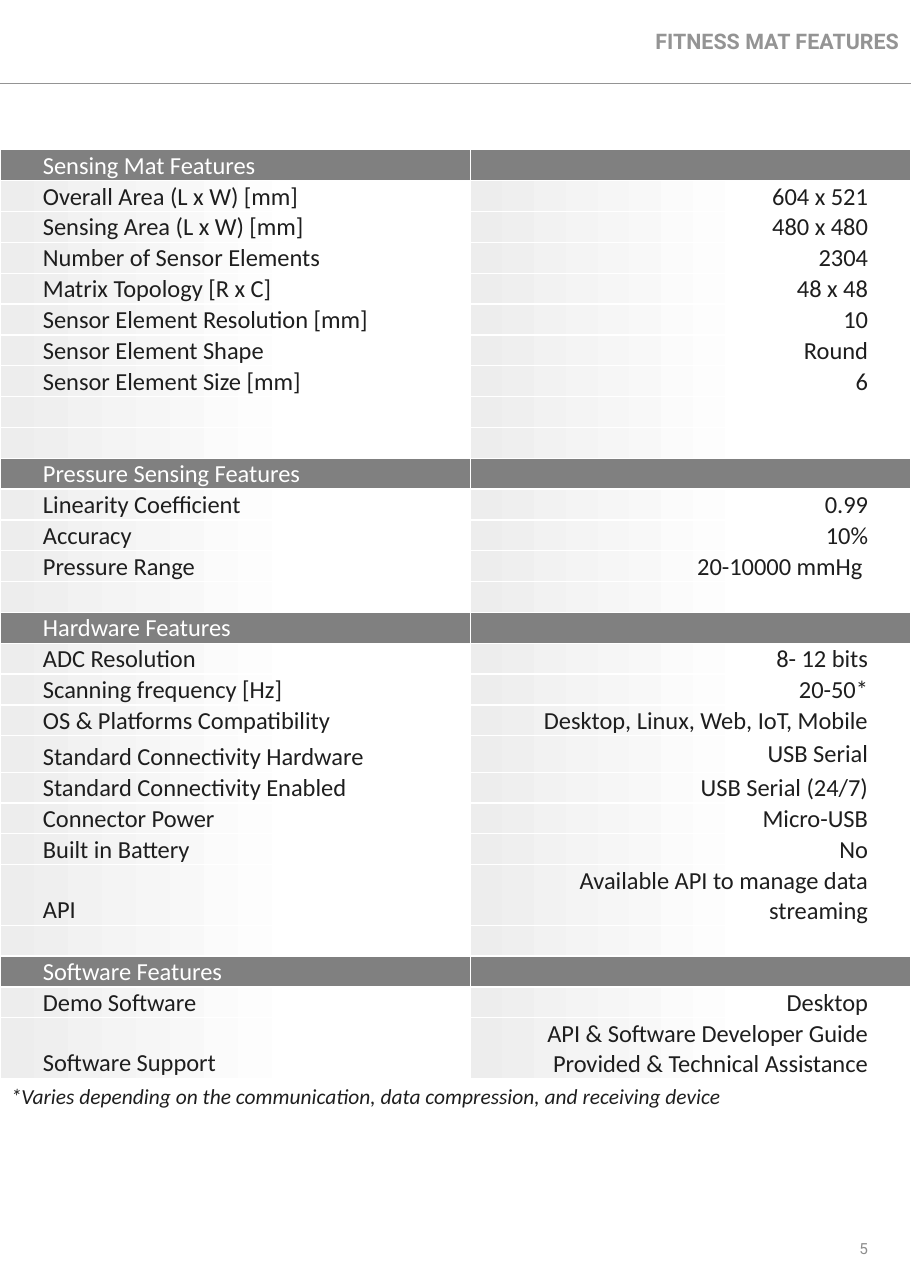
import pptx
import pptx.util
import pptx.oxml
import pptx.oxml.ns
import pptx.dml.color
import pptx.enum.text
import pptx.enum.shapes
from lxml import etree

Inches = pptx.util.Inches
Pt = pptx.util.Pt
ALIGN = pptx.enum.text.PP_ALIGN
ANCHOR = pptx.enum.text.MSO_ANCHOR
qn = pptx.oxml.ns.qn

COLORS = {
    "title": "949494",
    "number": "8D8D8D",
    "text": "1E1E1E",
    "white": "FFFFFF",
    "section": "808080",
    "shade": "EDEDED",
}

TITLE = "FITNESS MAT FEATURES"
PAGE_NUMBER = "5"
FOOTNOTE = "*Varies depending on the communication, data compression, and receiving device"

SECTIONS = [
    ("Sensing Mat Features", [
        ("Overall Area (L x W) [mm]", "604 x 521"),
        ("Sensing Area (L x W) [mm]", "480 x 480"),
        ("Number of Sensor Elements", "2304"),
        ("Matrix Topology [R x C]", "48 x 48"),
        ("Sensor Element Resolution [mm]", "10"),
        ("Sensor Element Shape", "Round"),
        ("Sensor Element Size [mm]", "6"),
        ("", ""),
        ("", ""),
    ]),
    ("Pressure Sensing Features", [
        ("Linearity Coefficient", "0.99"),
        ("Accuracy", "10%"),
        ("Pressure Range", "20-10000 mmHg "),
        ("", ""),
    ]),
    ("Hardware Features", [
        ("ADC Resolution", "8- 12 bits"),
        ("Scanning frequency [Hz]", "20-50*"),
        ("OS & Platforms Compatibility", "Desktop, Linux, Web, IoT, Mobile"),
        ("Standard Connectivity Hardware", "USB Serial"),
        ("Standard Connectivity Enabled", "USB Serial (24/7)"),
        ("Connector Power", "Micro-USB"),
        ("Built in Battery", "No"),
        ("API", "Available API to manage data streaming"),
        ("", ""),
    ]),
    ("Software Features", [
        ("Demo Software", "Desktop"),
        ("Software Support", "API & Software Developer Guide Provided & Technical Assistance"),
    ]),
]

SLIDE_WIDTH, SLIDE_HEIGHT = 8.27, 11.69
COLUMN_WIDTHS = (4.27, 4)
ROW_HEIGHT = 0.28
SPECIAL_HEIGHTS = {"Standard Connectivity Hardware": 0.33, "API": 0.55, "Software Support": 0.55}
TABLE_TOP = 1.36
SIDE_MARGIN = 0.39
GRADIENT = ((0, "white"), (35000, "white"), (100000, "shade"))


def rgb(name):
    return pptx.dml.color.RGBColor.from_string(COLORS[name])


def add_run(paragraph, text, size, font, color, bold=False, italic=False):
    run = paragraph.add_run()
    run.text = text
    run.font.size = Pt(size)
    run.font.name = font
    run.font.color.rgb = rgb(color)
    run.font.bold = bold
    run.font.italic = italic


def add_text(slide, box, text, size, font, color, align, anchor, **style):
    shape = slide.shapes.add_textbox(*map(Inches, box))
    frame = shape.text_frame
    frame.word_wrap = True
    frame.vertical_anchor = anchor
    paragraph = frame.paragraphs[0]
    paragraph.alignment = align
    add_run(paragraph, text, size, font, color, **style)
    return frame


def add_color(parent, name):
    etree.SubElement(parent, qn("a:srgbClr"), val=COLORS[name])


def add_borders(cell):
    properties = cell._tc.get_or_add_tcPr()
    for side in ("a:lnL", "a:lnR", "a:lnT", "a:lnB"):
        border = etree.SubElement(properties, qn(side), w=str(Pt(1)))
        add_color(etree.SubElement(border, qn("a:solidFill")), "white")


def add_gradient(cell):
    fill = etree.SubElement(cell._tc.get_or_add_tcPr(), qn("a:gradFill"))
    stops = etree.SubElement(fill, qn("a:gsLst"))
    for position, name in GRADIENT:
        add_color(etree.SubElement(stops, qn("a:gs"), pos=str(position)), name)
    etree.SubElement(fill, qn("a:lin"), ang=str(180 * 60000), scaled="0")


def fill_cell(cell, text, is_section, is_value):
    cell.margin_left = cell.margin_right = Inches(SIDE_MARGIN)
    cell.margin_top = Inches(0.01)
    cell.margin_bottom = 0
    cell.vertical_anchor = ANCHOR.MIDDLE if is_value else ANCHOR.BOTTOM
    add_borders(cell)
    if is_section:
        cell.fill.solid()
        cell.fill.fore_color.rgb = rgb("section")
    else:
        add_gradient(cell)
    paragraph = cell.text_frame.paragraphs[0]
    paragraph.alignment = ALIGN.RIGHT if is_value else ALIGN.LEFT
    if text:
        add_run(paragraph, text, 16, "Calibri", "white" if is_section else "text")
    else:
        ending = etree.SubElement(paragraph._p, qn("a:endParaRPr"), sz="1600")
        etree.SubElement(ending, qn("a:latin"), typeface="Calibri")


def add_features(slide):
    rows = []
    for heading, features in SECTIONS:
        rows.append((heading, "", True))
        rows.extend((label, value, False) for label, value in features)
    heights = [SPECIAL_HEIGHTS.get(label, ROW_HEIGHT) for label, _, _ in rows]
    table = slide.shapes.add_table(
        len(rows), 2, 0, Inches(TABLE_TOP), Inches(SLIDE_WIDTH), Inches(sum(heights))
    ).table
    table.first_row = table.horz_banding = False
    for column, width in zip(table.columns, COLUMN_WIDTHS):
        column.width = Inches(width)
    for index, (label, value, is_section) in enumerate(rows):
        table.rows[index].height = Inches(heights[index])
        fill_cell(table.cell(index, 0), label, is_section, False)
        fill_cell(table.cell(index, 1), value, is_section, True)


def main():
    presentation = pptx.Presentation()
    presentation.slide_width = Inches(SLIDE_WIDTH)
    presentation.slide_height = Inches(SLIDE_HEIGHT)
    slide = presentation.slides.add_slide(presentation.slide_layouts[6])

    rule = slide.shapes.add_connector(
        pptx.enum.shapes.MSO_CONNECTOR.STRAIGHT,
        Inches(SLIDE_WIDTH), Inches(0.76), 0, Inches(0.76),
    )
    rule.line.color.rgb = rgb("title")
    rule.line.width = Pt(0.5)
    etree.SubElement(rule._element.spPr, qn("a:effectLst"))

    title = add_text(slide, (2.75, 0.11, 5.51, 0.55), TITLE, 14, "Roboto", "title",
                     ALIGN.RIGHT, ANCHOR.MIDDLE, bold=True)
    title.paragraphs[0].line_spacing = 0.9
    number = add_text(slide, (6.41, 10.84, 1.86, 0.62), PAGE_NUMBER, 10, "Roboto", "number",
                      ALIGN.RIGHT, ANCHOR.BOTTOM)
    number.margin_right = Inches(SIDE_MARGIN)
    add_features(slide)
    add_text(slide, (0, 9.78, SLIDE_WIDTH, 0.34), FOOTNOTE, 14, "Calibri", "text",
             ALIGN.LEFT, ANCHOR.TOP, italic=True)
    presentation.save("out.pptx")


if __name__ == "__main__":
    main()
